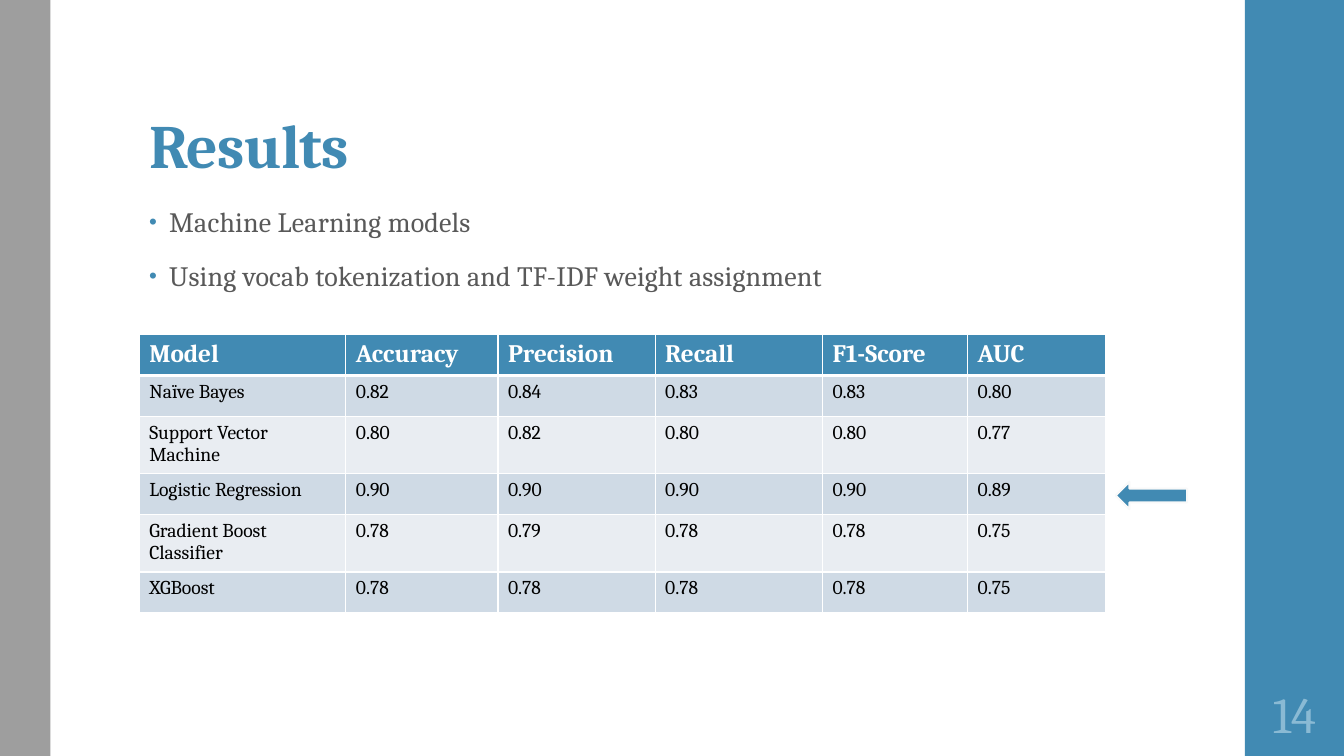
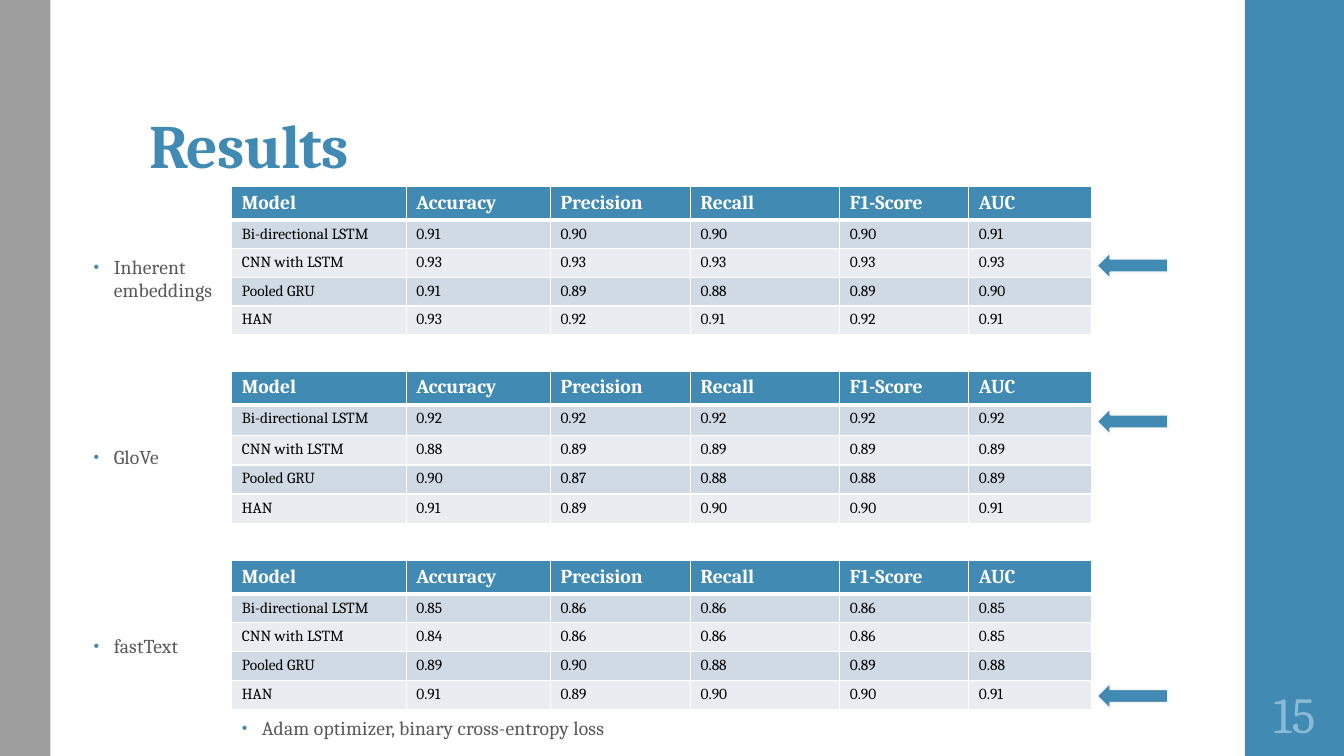
from dataclasses import dataclass

from lxml import etree
from pptx import Presentation
from pptx.dml.color import RGBColor
from pptx.enum import shapes, text
from pptx.oxml import ns
from pptx.util import Pt

# Shared look
FONT = "Cambria"
BLUE, GREY, PALE_BLUE = "418AB3", "9E9E9E", "8ABAD4"
BODY, BLACK, WHITE, ARROW_EDGE = "595959", "000000", "FFFFFF", "F9F9F9"
ROW_FILLS = ("CFDAE5", "E9EDF2")
PAGE_WIDTH, PAGE_HEIGHT = 960, 540
BAND_LEFT = 889.2
HEADINGS = ("Model", "Accuracy", "Precision", "Recall", "F1-Score", "AUC")
ARROW_WIDTH, ARROW_HEIGHT = 51, 19.5


@dataclass(frozen=True)
class Area:
    left: float
    top: float
    width: float
    height: float

    def lengths(self) -> tuple:
        return Pt(self.left), Pt(self.top), Pt(self.width), Pt(self.height)


@dataclass(frozen=True)
class TableStyle:
    left: float
    columns: tuple[float, ...]
    heading_size: float
    body_size: float
    arrow_left: float


@dataclass(frozen=True)
class ScoreTable:
    top: float
    row_heights: tuple[float, ...]
    rows: tuple[str, ...]  # model name, then its scores, split by "|"
    arrow_top: float


@dataclass(frozen=True)
class BulletBox:
    area: Area
    lines: tuple[str, ...]
    size: float


WIDE = TableStyle(99.4, (147.6, 108.7, 112.3, 119.5, 103.7, 98.6), 18, 14, 797)
COMPACT = TableStyle(165.6, (124.6, 103, 100.1, 106.6, 92.2, 87.8), 14, 11, 783.4)

MACHINE_LEARNING = ScoreTable(239, (29.3,) * 6, (
    "Naïve Bayes|0.82|0.84|0.83|0.83|0.80",
    "Support Vector Machine|0.80|0.82|0.80|0.80|0.77",
    "Logistic Regression|0.90|0.90|0.90|0.90|0.89",
    "Gradient Boost Classifier|0.78|0.79|0.78|0.78|0.75",
    "XGBoost|0.78|0.78|0.78|0.78|0.75",
), 344.2)

EMBEDDINGS = (
    ScoreTable(133.2, (19.5,) * 5, (
        "Bi-directional LSTM|0.91|0.90|0.90|0.90|0.91",
        "CNN with LSTM|0.93|0.93|0.93|0.93|0.93",
        "Pooled GRU|0.91|0.89|0.88|0.89|0.90",
        "HAN|0.93|0.92|0.91|0.92|0.91",
    ), 180),
    ScoreTable(265, (20.8, 22.3, 20.8, 20.8, 20.8), (
        "Bi-directional LSTM|0.92|0.92|0.92|0.92|0.92",
        "CNN with LSTM|0.88|0.89|0.89|0.89|0.89",
        "Pooled GRU|0.90|0.87|0.88|0.88|0.89",
        "HAN|0.91|0.89|0.90|0.90|0.91",
    ), 291.3),
    ScoreTable(400.3, (20.8, 19.5, 20.8, 20.8, 20.8), (
        "Bi-directional LSTM|0.85|0.86|0.86|0.86|0.85",
        "CNN with LSTM|0.84|0.86|0.86|0.86|0.85",
        "Pooled GRU|0.89|0.90|0.88|0.89|0.88",
        "HAN|0.91|0.89|0.90|0.90|0.91",
    ), 487.4),
)

LABELS = (("Inherent embeddings", 113.8), ("GloVe", 172), ("fastText", 172))
LABEL_TOP, LABEL_STEP = 180, 135.4


def colour(value: str) -> RGBColor:
    return RGBColor.from_string(value)


def format_runs(para, size: float, tint: str, bold: bool = False,
                spacing: float = 0) -> None:
    for span in para.runs:
        span.font.name = FONT
        span.font.size = Pt(size)
        span.font.bold = bold
        span.font.color.rgb = colour(tint)
        if spacing:
            span.font._element.set("spc", str(round(spacing * 100)))


def add_child(parent, tag: str, **attributes: str):
    return etree.SubElement(parent, ns.qn(tag), attributes)


def add_block(page, kind, area: Area, fill: str):
    block = page.shapes.add_shape(kind, *area.lengths())
    block.shadow.inherit = False
    block.fill.solid()
    block.fill.fore_color.rgb = colour(fill)
    block.line.fill.background()
    return block


def add_text_box(page, area: Area, words: str):
    box = page.shapes.add_textbox(*area.lengths())
    box.text_frame.word_wrap = True
    box.text_frame.text = words
    return box


# Bands, title and page number
def add_page(deck, title: str, number: int):
    page = deck.slides.add_slide(deck.slide_layouts[6])
    band_width = PAGE_WIDTH - BAND_LEFT
    rectangle = shapes.MSO_SHAPE.RECTANGLE
    add_block(page, rectangle, Area(BAND_LEFT, 0, band_width, PAGE_HEIGHT), BLUE)
    add_block(page, rectangle, Area(0, 0, 36, PAGE_HEIGHT), GREY)

    frame = add_text_box(page, Area(99.4, 23, 763.2, 110.2), title).text_frame
    frame.vertical_anchor = text.MSO_ANCHOR.BOTTOM
    frame.margin_top = Pt(2)
    frame.paragraphs[0].line_spacing = 0.9
    format_runs(frame.paragraphs[0], 44, BLUE, bold=True, spacing=-0.5)

    area = Area(BAND_LEFT, 486, band_width, 46.8)
    frame = add_text_box(page, area, str(number)).text_frame
    frame.vertical_anchor = text.MSO_ANCHOR.MIDDLE
    frame.margin_left = frame.margin_right = Pt(3.6)
    frame.paragraphs[0].alignment = text.PP_ALIGN.CENTER
    format_runs(frame.paragraphs[0], 36, PALE_BLUE)
    return page


def add_bullets(page, bullets: BulletBox) -> None:
    box = add_text_box(page, bullets.area, "\n".join(bullets.lines))
    for para in box.text_frame.paragraphs:
        para.line_spacing = 0.95
        para.space_before, para.space_after = Pt(14), Pt(2)
        format_runs(para, bullets.size, BODY, spacing=0.1)
        settings = para._p.get_or_add_pPr()
        settings.set("marL", str(Pt(14.4)))
        settings.set("indent", str(-Pt(14.4)))
        add_child(add_child(settings, "a:buClr"), "a:srgbClr", val=BLUE)
        add_child(settings, "a:buSzPct", val="80000")
        add_child(settings, "a:buFont", typeface="Arial")
        add_child(settings, "a:buChar", char="•")


# Score tables, each with an arrow at its best row
def set_borders(cell, bottom: float) -> None:
    settings = cell._tc.get_or_add_tcPr()
    widths = {"a:lnL": 1, "a:lnR": 1, "a:lnT": 1, "a:lnB": bottom}
    for position, (tag, width) in enumerate(widths.items()):
        line = etree.Element(ns.qn(tag), w=str(Pt(width)))
        add_child(add_child(line, "a:solidFill"), "a:srgbClr", val=WHITE)
        settings.insert(position, line)


def add_scores(page, scores: ScoreTable, style: TableStyle) -> None:
    rows = [HEADINGS, *(row.split("|") for row in scores.rows)]
    area = Area(style.left, scores.top, sum(style.columns), sum(scores.row_heights))
    table = page.shapes.add_table(
        len(rows), len(HEADINGS), *area.lengths()).table
    table.horz_banding = False
    for column, width in zip(table.columns, style.columns):
        column.width = Pt(width)
    for row, height in zip(table.rows, scores.row_heights):
        row.height = Pt(height)

    for i, values in enumerate(rows):
        heading = i == 0
        for j, value in enumerate(values):
            cell = table.cell(i, j)
            cell.text_frame.text = value
            format_runs(cell.text_frame.paragraphs[0],
                        style.heading_size if heading else style.body_size,
                        WHITE if heading else BLACK, bold=heading)
            cell.fill.solid()
            cell.fill.fore_color.rgb = colour(
                BLUE if heading else ROW_FILLS[(i - 1) % 2])
            set_borders(cell, bottom=3 if heading else 1)

    area = Area(style.arrow_left, scores.arrow_top, ARROW_WIDTH, ARROW_HEIGHT)
    arrow = add_block(page, shapes.MSO_SHAPE.LEFT_ARROW, area, BLUE)
    arrow.line.color.rgb = colour(ARROW_EDGE)
    arrow.line.width = Pt(1.35)


def main() -> None:
    deck = Presentation()
    deck.slide_width, deck.slide_height = Pt(PAGE_WIDTH), Pt(PAGE_HEIGHT)

    # Machine learning models
    page = add_page(deck, "Results", 14)
    add_bullets(page, BulletBox(Area(99.4, 144, 676.8, 342.7), (
        "Machine Learning models",
        "Using vocab tokenization and TF-IDF weight assignment"), 20))
    add_scores(page, MACHINE_LEARNING, WIDE)

    # Neural models, one table per embedding
    page = add_page(deck, "Results", 15)
    for i, (scores, (label, width)) in enumerate(zip(EMBEDDINGS, LABELS)):
        add_scores(page, scores, COMPACT)
        area = Area(59.8, LABEL_TOP + i * LABEL_STEP, width, 74.9)
        add_bullets(page, BulletBox(area, (label,), 14))
    add_bullets(page, BulletBox(
        Area(COMPACT.left, 509, 351.4, 31),
        ("Adam optimizer, binary cross-entropy loss",), 14))

    deck.save("out.pptx")


if __name__ == "__main__":
    main()
